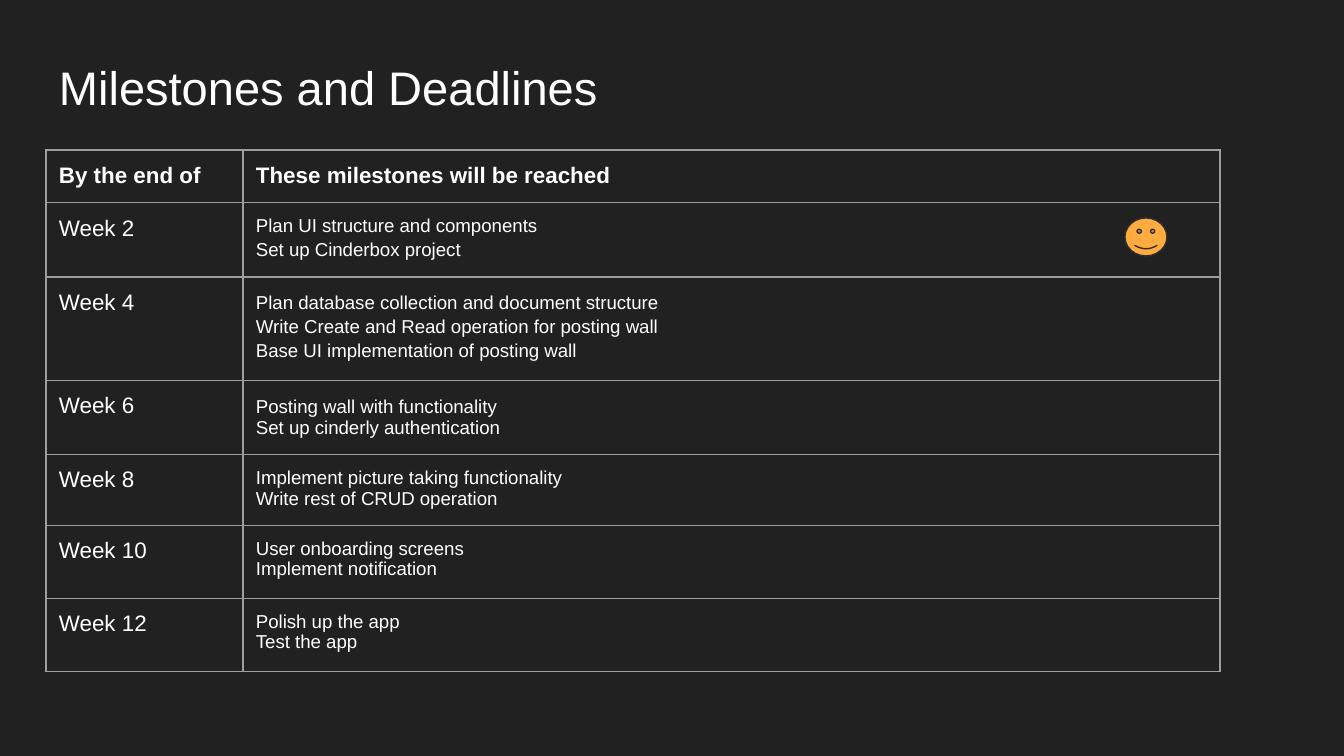
from dataclasses import dataclass

from lxml.etree import SubElement
from pptx import Presentation
from pptx.dml.color import RGBColor as Color
from pptx.enum.shapes import MSO_SHAPE as Shape
from pptx.enum.text import MSO_ANCHOR as Anchor
from pptx.oxml.ns import qn
from pptx.util import Emu, Pt


@dataclass(frozen=True)
class Theme:
    background: str = "212121"
    text: str = "FFFFFF"
    border: str = "9E9E9E"
    face: str = "FFAB40"
    outline: str = "303030"
    font: str = "Arial"
    title_size: float = 25.2
    label_size: int = 12
    detail_size: int = 10
    line_width: float = 0.75


THEME = Theme()
SLIDE_WIDTH, SLIDE_HEIGHT = 1344, 756
EMU_PER_PX = 9144000 / SLIDE_WIDTH
INSET = 13
LOOSE = 1.15

TITLE_BOX = (46, 43, 1252, 85)
TABLE_BOX = (46, 150, 1174, 482)
SMILEY_BOX = (1125, 218, 42, 38)
LABEL_WIDTH = 197

HEADER = ("By the end of", "These milestones will be reached")
HEADER_HEIGHT = 48
MILESTONES = [
    ("Week 2", 72, [("Plan UI structure and components", None),
                    ("Set up Cinderbox project", LOOSE)]),
    ("Week 4", 75, [("Plan database collection and document structure", LOOSE),
                    ("Write Create and Read operation for posting wall", LOOSE),
                    ("Base UI implementation of posting wall", LOOSE)]),
    ("Week 6", 73, [("Posting wall with functionality", LOOSE),
                    ("Set up cinderly authentication", None)]),
    ("Week 8", 68, [("Implement picture taking functionality", None),
                    ("Write rest of CRUD operation", None)]),
    ("Week 10", 73, [("User onboarding screens", None),
                     ("Implement notification", None)]),
    ("Week 12", 73, [("Polish up the app", None),
                     ("Test the app", None)]),
]


def px(length):
    return Emu(round(length * EMU_PER_PX))


def set_attributes(target, values):
    for name, value in values.items():
        setattr(target, name, value)


def write_lines(frame, lines, size, bold=False):
    for index, (text, spacing) in enumerate(lines):
        paragraph = frame.add_paragraph() if index else frame.paragraphs[0]
        if spacing:
            paragraph.line_spacing = spacing
        run = paragraph.add_run()
        run.text = text
        set_attributes(run.font, {"name": THEME.font, "size": Pt(size), "bold": bold})
        run.font.color.rgb = Color.from_string(THEME.text)


def margins(prefix="margin_"):
    return {prefix + side: px(INSET) for side in ("left", "top", "right", "bottom")}


def add_borders(cell):
    properties = cell._tc.get_or_add_tcPr()
    for tag in ("a:lnL", "a:lnR", "a:lnT", "a:lnB"):
        line = SubElement(properties, qn(tag), w=str(Pt(THEME.line_width)))
        fill = SubElement(line, qn("a:solidFill"))
        SubElement(fill, qn("a:srgbClr"), val=THEME.border)


def fill_cell(cell, lines, size, bold=False):
    set_attributes(cell, {**margins(), "vertical_anchor": Anchor.TOP})
    write_lines(cell.text_frame, lines, size, bold)
    add_borders(cell)
    cell.fill.background()


def add_title(slide, box):
    frame = slide.shapes.add_textbox(*map(px, box)).text_frame
    set_attributes(frame, {**margins(), "word_wrap": True,
                           "vertical_anchor": Anchor.BOTTOM})
    write_lines(frame, [("Milestones and Deadlines", None)], THEME.title_size)


def add_milestone_table(slide, box):
    shape = slide.shapes.add_table(len(MILESTONES) + 1, 2, *map(px, box))
    table = shape.table
    set_attributes(table, {"first_row": False, "horz_banding": False})
    for column, width in zip(table.columns, (LABEL_WIDTH, box[2] - LABEL_WIDTH)):
        column.width = px(width)

    table.rows[0].height = px(HEADER_HEIGHT)
    for column, text in enumerate(HEADER):
        fill_cell(table.cell(0, column), [(text, None)], THEME.label_size, True)

    for row, (week, height, details) in enumerate(MILESTONES, 1):
        table.rows[row].height = px(height)
        fill_cell(table.cell(row, 0), [(week, None)], THEME.label_size)
        fill_cell(table.cell(row, 1), details, THEME.detail_size)


def add_smiley(slide, box):
    shape = slide.shapes.add_shape(Shape.SMILEY_FACE, *map(px, box))
    shape.shadow.inherit = False
    shape.fill.solid()
    shape.fill.fore_color.rgb = Color.from_string(THEME.face)
    shape.line.color.rgb = Color.from_string(THEME.outline)
    shape.line.width = Pt(THEME.line_width)


def main():
    presentation = Presentation()
    set_attributes(presentation, {"slide_width": px(SLIDE_WIDTH),
                                  "slide_height": px(SLIDE_HEIGHT)})
    slide = presentation.slides.add_slide(presentation.slide_layouts[6])
    slide.background.fill.solid()
    slide.background.fill.fore_color.rgb = Color.from_string(THEME.background)
    add_title(slide, TITLE_BOX)
    add_milestone_table(slide, TABLE_BOX)
    add_smiley(slide, SMILEY_BOX)
    presentation.save("out.pptx")


if __name__ == "__main__":
    main()
